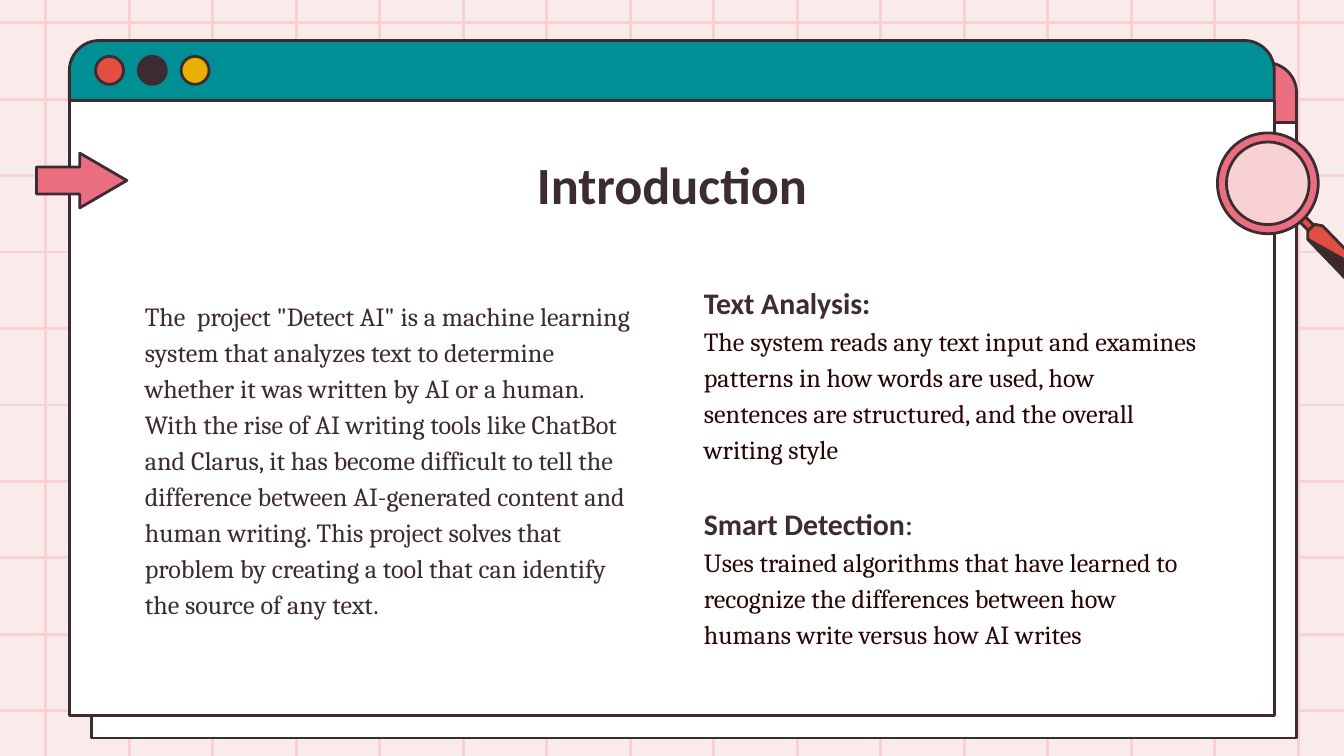
"""Build the introduction slide of an AI text detection project."""
from dataclasses import dataclass
from typing import NamedTuple

from lxml import etree
from pptx import Presentation
from pptx.dml.color import RGBColor
from pptx.enum.shapes import MSO_CONNECTOR, MSO_SHAPE
from pptx.enum.text import MSO_ANCHOR, PP_ALIGN
from pptx.oxml.ns import qn
from pptx.util import Pt

STRAIGHT = MSO_CONNECTOR.STRAIGHT
RECTANGLE = MSO_SHAPE.RECTANGLE
OVAL = MSO_SHAPE.OVAL
DONUT = MSO_SHAPE.DONUT
ARROW = MSO_SHAPE.RIGHT_ARROW
ROUND_TOP = MSO_SHAPE.ROUND_2_SAME_RECTANGLE
LEFT, CENTER = PP_ALIGN.LEFT, PP_ALIGN.CENTER
TOP = MSO_ANCHOR.TOP


@dataclass(frozen=True)
class Theme:
    backdrop: str = "FAEBEB"
    grid: str = "F8D2D2"
    ink: str = "3C2C31"
    detail: str = "280606"
    paper: str = "FFFFFF"
    teal: str = "008F95"
    pink: str = "EB6E80"
    red: str = "E24E42"
    yellow: str = "E9B000"
    grip: str = "3E282C"
    heading_font: str = "Calibri"
    body_font: str = "Cambria"
    title_size: float = 28
    heading_size: float = 16
    body_size: float = 14
    stroke: float = 1.5


class Box(NamedTuple):
    left: float
    top: float
    width: float
    height: float


class Window(NamedTuple):
    left: float
    top: float
    bar_color: str


class Run(NamedTuple):
    text: str
    font: str
    size: float
    color: str
    bold: bool = False


class Paragraph(NamedTuple):
    runs: list[Run]
    space_before: float = 0


THEME = Theme()
SLIDE_WIDTH, SLIDE_HEIGHT = 720, 405
GRID_COLUMNS, GRID_ROWS = 16, 10
COLUMN_START, COLUMN_STEP = 24.6, 44.73
ROW_START, ROW_STEP = 12.2, 40.95
WINDOW_WIDTH, BAR_HEIGHT, BODY_HEIGHT = 645.5, 32.1, 329.7
BUTTON_SIZE, BUTTON_STEP = 15, 22.9
BUTTON_INSET_X, BUTTON_INSET_Y = 14, 8.5
TEXT_INSET = 7.2

WINDOWS = [Window(49.1, 33.6, THEME.pink), Window(37.2, 21.7, THEME.teal)]
BUTTON_COLORS = [THEME.red, THEME.ink, THEME.yellow]
NECK = [(703.4, 126), (706.3, 123.1), (698.4, 115.2), (695.5, 118.1)]
GRIP = [(730.1, 144.7), (729.4, 146.9), (725.8, 149.8), (721.4, 149.8), (700.6, 128.2)]
HANDLE = GRIP + [(700.6, 123.8), (704.2, 120.2), (708.5, 121), (729.4, 142.6)]

OVERVIEW = (
    'The  project "Detect AI" is a machine learning system that analyzes text to determine '
    "whether it was written by AI or a human. With the rise of AI writing tools like ChatBot "
    "and Clarus, it has become difficult to tell the difference between AI-generated content "
    "and human writing. This project solves that problem by creating a tool that can identify "
    "the source of any text."
)
ANALYSIS = (
    "The system reads any text input and examines patterns in how words are used, "
    "how sentences are structured, and the overall writing style"
)
DETECTION = (
    "Uses trained algorithms that have learned to recognize the differences between "
    "how humans write versus how AI writes"
)


def rgb(color: str) -> RGBColor:
    """Turn a hex string into a colour."""
    return RGBColor.from_string(color)


def paint(shape, fill: str) -> None:
    """Give a shape its fill and the common ink outline with round joins."""
    shape.shadow.inherit = False
    shape.fill.solid()
    shape.fill.fore_color.rgb = rgb(fill)
    shape.line.color.rgb = rgb(THEME.ink)
    shape.line.width = Pt(THEME.stroke)
    etree.SubElement(shape._element.spPr.find(qn("a:ln")), qn("a:round"))


def add_preset(slide, kind, box: Box, fill: str, adjustments: tuple[float, ...] = ()) -> None:
    """Draw a painted preset shape."""
    shape = slide.shapes.add_shape(kind, *map(Pt, box))
    for index, value in enumerate(adjustments):
        shape.adjustments[index] = value
    paint(shape, fill)


def add_polygon(slide, points: list[tuple[float, float]], fill: str) -> None:
    """Draw a painted closed outline."""
    start, *rest = [(Pt(x), Pt(y)) for x, y in points]
    builder = slide.shapes.build_freeform(*start)
    builder.add_line_segments(rest, close=True)
    paint(builder.convert_to_shape(), fill)


def add_grid_line(slide, x1: float, y1: float, x2: float, y2: float) -> None:
    """Draw one line of the background grid."""
    line = slide.shapes.add_connector(STRAIGHT, Pt(x1), Pt(y1), Pt(x2), Pt(y2))
    line.line.color.rgb = rgb(THEME.grid)
    line.line.width = Pt(THEME.stroke)
    etree.SubElement(line._element.spPr, qn("a:effectLst"))


def add_window(slide, window: Window) -> None:
    """Draw a browser window with its title bar and buttons."""
    left, top, bar_color = window
    add_preset(slide, RECTANGLE, Box(left, top + BAR_HEIGHT, WINDOW_WIDTH, BODY_HEIGHT), THEME.paper)
    add_preset(slide, ROUND_TOP, Box(left, top, WINDOW_WIDTH, BAR_HEIGHT), bar_color, (0.5, 0))
    for index, color in enumerate(BUTTON_COLORS):
        button_left = left + BUTTON_INSET_X + index * BUTTON_STEP
        button = Box(button_left, top + BUTTON_INSET_Y, BUTTON_SIZE, BUTTON_SIZE)
        add_preset(slide, OVAL, button, color)


def add_text(slide, paragraphs: list[Paragraph], *, box: Box, align=LEFT, spacing: float = 1) -> None:
    """Write formatted paragraphs in a text box."""
    frame = slide.shapes.add_textbox(*map(Pt, box)).text_frame
    frame.word_wrap = True
    frame.vertical_anchor = TOP
    frame.margin_left = frame.margin_right = Pt(TEXT_INSET)
    frame.margin_top = frame.margin_bottom = Pt(TEXT_INSET)
    for index, content in enumerate(paragraphs):
        paragraph = frame.add_paragraph() if index else frame.paragraphs[0]
        paragraph.alignment = align
        paragraph.line_spacing = spacing
        paragraph.space_before = Pt(content.space_before)
        for part in content.runs:
            run = paragraph.add_run()
            run.text = part.text
            run.font.name = part.font
            run.font.size = Pt(part.size)
            run.font.bold = part.bold
            run.font.color.rgb = rgb(part.color)


def heading(text: str, size: float = THEME.heading_size, bold: bool = True) -> Run:
    """Make a run in the heading font."""
    return Run(text, THEME.heading_font, size, THEME.ink, bold)


def body(text: str, color: str = THEME.detail) -> Run:
    """Make a run in the body font."""
    return Run(text, THEME.body_font, THEME.body_size, color)


def main() -> None:
    """Build and save the slide."""
    deck = Presentation()
    deck.slide_width, deck.slide_height = Pt(SLIDE_WIDTH), Pt(SLIDE_HEIGHT)
    slide = deck.slides.add_slide(deck.slide_layouts[6])
    slide.background.fill.solid()
    slide.background.fill.fore_color.rgb = rgb(THEME.backdrop)

    for column in range(GRID_COLUMNS):
        x = COLUMN_START + column * COLUMN_STEP
        add_grid_line(slide, x, 0, x, SLIDE_HEIGHT)
    for row in range(GRID_ROWS):
        y = ROW_START + row * ROW_STEP
        add_grid_line(slide, 0, y, SLIDE_WIDTH, y)
    for window in WINDOWS:
        add_window(slide, window)

    add_text(slide, [Paragraph([body(OVERVIEW, THEME.ink)])],
             box=Box(70.5, 151.2, 279.4, 207.4), spacing=1.15)
    add_text(slide, [Paragraph([heading("Introduction", THEME.title_size)])],
             box=Box(70.5, 74.2, 579, 45.4), align=CENTER)
    features = [
        Paragraph([heading("Text Analysis:")]),
        Paragraph([body(ANALYSIS)]),
        Paragraph([heading("Smart Detection"), heading(":", bold=False)], space_before=19),
        Paragraph([body(DETECTION)]),
    ]
    add_text(slide, features, box=Box(370, 142.6, 279.4, 207.4), spacing=1.15)

    add_polygon(slide, NECK, THEME.red)
    add_polygon(slide, HANDLE, THEME.red)
    add_polygon(slide, GRIP, THEME.grip)
    add_preset(slide, OVAL, Box(655.1, 74.1, 48.2, 48.2), THEME.grid)
    add_preset(slide, DONUT, Box(652.2, 71.2, 54, 54), THEME.pink, (0.09,))
    add_preset(slide, ARROW, Box(19.6, 82, 48.4, 29.4), THEME.pink, (0.49, 0.86))
    deck.save("out.pptx")


if __name__ == "__main__":
    main()
